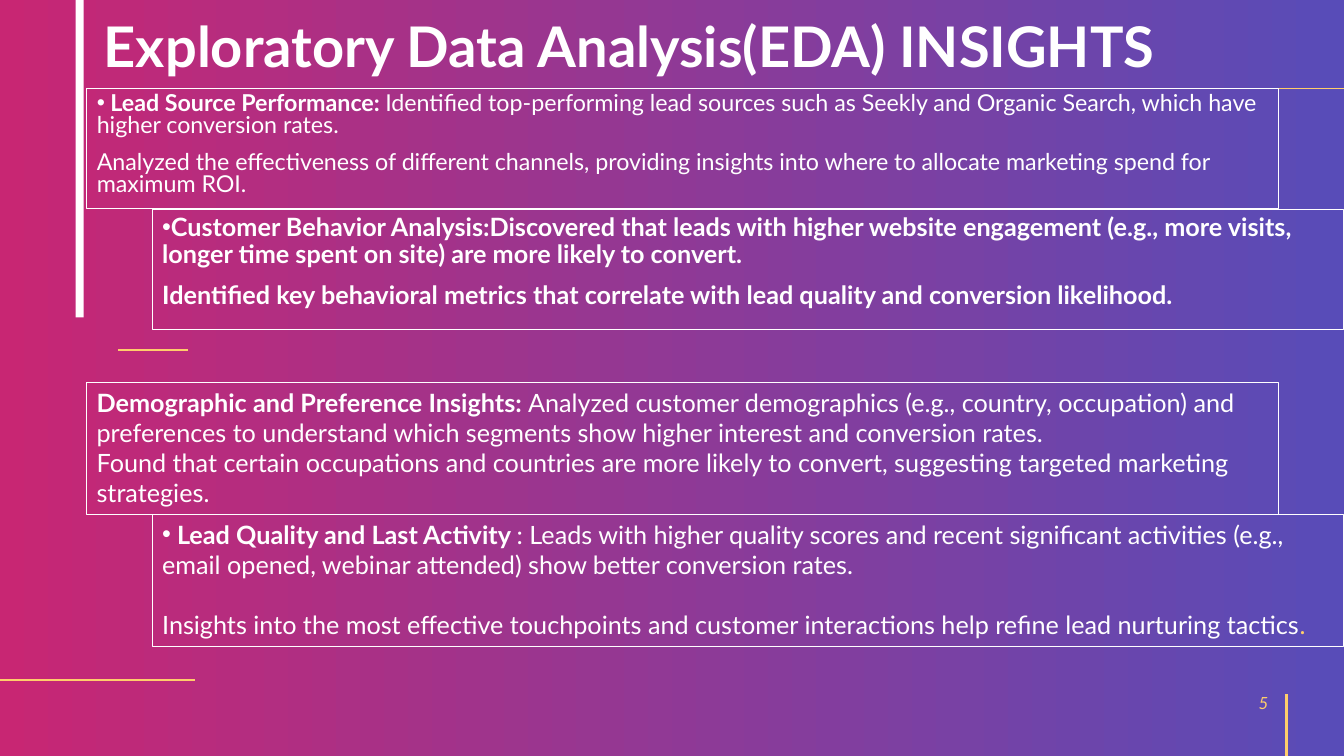
import lxml.etree
import pptx
import pptx.dml.color
import pptx.enum.shapes
import pptx.enum.text
import pptx.oxml.ns
import pptx.util

Inches = pptx.util.Inches
Pt = pptx.util.Pt
RGBColor = pptx.dml.color.RGBColor
PP_ALIGN = pptx.enum.text.PP_ALIGN
MSO_ANCHOR = pptx.enum.text.MSO_ANCHOR
MSO_AUTO_SIZE = pptx.enum.text.MSO_AUTO_SIZE
qn = pptx.oxml.ns.qn

WHITE = RGBColor(0xFF, 0xFF, 0xFF)
GOLD = RGBColor(0xFF, 0xCD, 0x6B)
PINK = RGBColor(0xC8, 0x26, 0x73)
INDIGO = RGBColor(0x58, 0x4C, 0xB8)

LEFT_COLUMN, RIGHT_COLUMN = 0.86, 1.51
PANEL_WIDTH = 11.82


def apply(target, formats):
    for name, value in formats.items():
        setattr(target, name, value)


class InsightSlide:
    font = "Lato"

    def __init__(self, deck):
        self.slide = deck.slides.add_slide(deck.slide_layouts[1])
        self.shapes = self.slide.shapes

    def backdrop(self, start, end):
        fill = self.slide.background.fill
        fill.gradient()
        fill.gradient_angle = 0
        for stop, color, position in zip(fill.gradient_stops, (start, end), (0, 1)):
            stop.position = position
            stop.color.rgb = color

    def bar(self, left, top, width, height):
        accent = self.shapes.add_shape(
            pptx.enum.shapes.MSO_SHAPE.RECTANGLE,
            Inches(left), Inches(top), Inches(width), Inches(height))
        accent.shadow.inherit = False
        accent.fill.solid()
        accent.fill.fore_color.rgb = WHITE
        accent.line.fill.background()

    def rule(self, x1, y1, x2, y2, weight=1.5):
        stroke = self.shapes.add_connector(
            pptx.enum.shapes.MSO_CONNECTOR.STRAIGHT,
            Inches(x1), Inches(y1), Inches(x2), Inches(y2))
        stroke.line.color.rgb = GOLD
        stroke.line.width = Pt(weight)
        lxml.etree.SubElement(stroke._element.spPr, qn("a:effectLst"))

    def place(self, holder, left, top, width, height):
        apply(holder, {"left": Inches(left), "top": Inches(top),
                       "width": Inches(width), "height": Inches(height)})
        self.shapes._spTree.append(holder._element)
        return holder

    def text_box(self, left, top, width, height):
        return self.shapes.add_textbox(
            Inches(left), Inches(top), Inches(width), Inches(height))

    def add_text(self, holder, paragraphs, size, anchor=MSO_ANCHOR.TOP,
                 auto_size=MSO_AUTO_SIZE.NONE, **spacing):
        frame = holder.text_frame
        apply(frame, {"word_wrap": True, "auto_size": auto_size,
                      "vertical_anchor": anchor})
        for index, (bulleted, runs, formats) in enumerate(paragraphs):
            line = frame.add_paragraph() if index else frame.paragraphs[0]
            apply(line, {"alignment": PP_ALIGN.LEFT, **spacing, **formats})
            self.bullet(line, bulleted)
            for words, style in runs:
                run = line.add_run()
                run.text = words
                apply(run.font, {"name": self.font, "size": Pt(size), "bold": False,
                                 **{k: v for k, v in style.items() if k != "color"}})
                run.font.color.rgb = style.get("color", WHITE)

    def bullet(self, line, bulleted):
        properties = line._p.get_or_add_pPr()
        properties.set("marL", "0")
        properties.set("indent", "0")
        if bulleted:
            lxml.etree.SubElement(properties, qn("a:buFont")).set("typeface", "Arial")
            lxml.etree.SubElement(properties, qn("a:buChar")).set("char", "•")
        else:
            lxml.etree.SubElement(properties, qn("a:buNone"))

    def panel(self, holder, paragraphs, size=18, **layout):
        holder.line.color.rgb = WHITE
        holder.line.width = Pt(0.75)
        self.add_text(holder, paragraphs, size, **layout)


def main():
    deck = pptx.Presentation()
    apply(deck, {"slide_width": Inches(13.33), "slide_height": Inches(7.5)})
    page = InsightSlide(deck)
    bold = {"bold": True}

    page.backdrop(PINK, INDIGO)
    page.bar(0.75, 0, 0.08, 3.15)
    page.rule(1.17, 3.47, 1.86, 3.47)
    page.rule(12.24, 0.88, 13.33, 0.88, 0.5)
    page.rule(0, 6.75, 1.93, 6.75)
    page.rule(12.76, 7.5, 12.76, 6.89)

    heading = page.place(page.shapes.title, 0.93, 0.15, 11.66, 0.69)
    page.add_text(heading, [(False, [("Exploratory Data Analysis(EDA) INSIGHTS", bold)], {})],
                  40, MSO_ANCHOR.BOTTOM, line_spacing=0.9)

    lead_source = page.place(page.slide.placeholders[1], LEFT_COLUMN, 0.88, PANEL_WIDTH, 1.19)
    page.panel(lead_source, [
        (True, [(" Lead Source Performance: ", bold),
                ("Identified top-performing lead sources such as Seekly and Organic Search, "
                 "which have higher conversion rates.", {})], {}),
        (False, [("Analyzed the effectiveness of different channels, providing insights into "
                  "where to allocate marketing spend for maximum ROI.", {})], {}),
    ], 16.6, line_spacing=0.8, space_before=Pt(10))

    page_number = page.text_box(9.68, 6.77, 3, 0.4)
    page.add_text(page_number, [(False, [("5", {"italic": True, "color": GOLD})],
                                 {"alignment": PP_ALIGN.RIGHT})], 12, MSO_ANCHOR.MIDDLE)

    demographics = page.text_box(LEFT_COLUMN, 3.79, PANEL_WIDTH, 1.31)
    page.panel(demographics, [
        (False, [("Demographic and Preference Insights: ", bold),
                 ("Analyzed customer demographics (e.g., country, occupation) and preferences to "
                  "understand which segments show higher interest and conversion rates.", {})], {}),
        (False, [("Found that certain occupations and countries are more likely to convert, "
                  "suggesting targeted marketing strategies.", {})], {}),
    ], auto_size=MSO_AUTO_SIZE.SHAPE_TO_FIT_TEXT)

    lead_quality = page.text_box(RIGHT_COLUMN, 5.1, PANEL_WIDTH, 1.31)
    page.panel(lead_quality, [
        (True, [(" Lead Quality and Last Activity ", bold),
                (": Leads with higher quality scores and recent significant activities (e.g., "
                 "email opened, webinar attended) show better conversion rates.", {})], {}),
        (False, [("Insights into the most effective touchpoints and customer interactions help "
                  "refine lead nurturing tactics", {}), (".", {"color": GOLD})],
         {"space_before": Pt(21.6)}),
    ], auto_size=MSO_AUTO_SIZE.SHAPE_TO_FIT_TEXT)

    behavior = page.text_box(RIGHT_COLUMN, 2.08, PANEL_WIDTH, 1.19)
    page.panel(behavior, [
        (True, [("Customer Behavior Analysis:Discovered that leads with higher website engagement "
                 "(e.g., more visits, longer time spent on site) are more likely to convert.",
                 bold)], {}),
        (False, [("Identified key behavioral metrics that correlate with lead quality and "
                  "conversion likelihood.", bold)], {}),
    ], line_spacing=0.9, space_before=Pt(10))

    deck.save("out.pptx")


if __name__ == "__main__":
    main()
